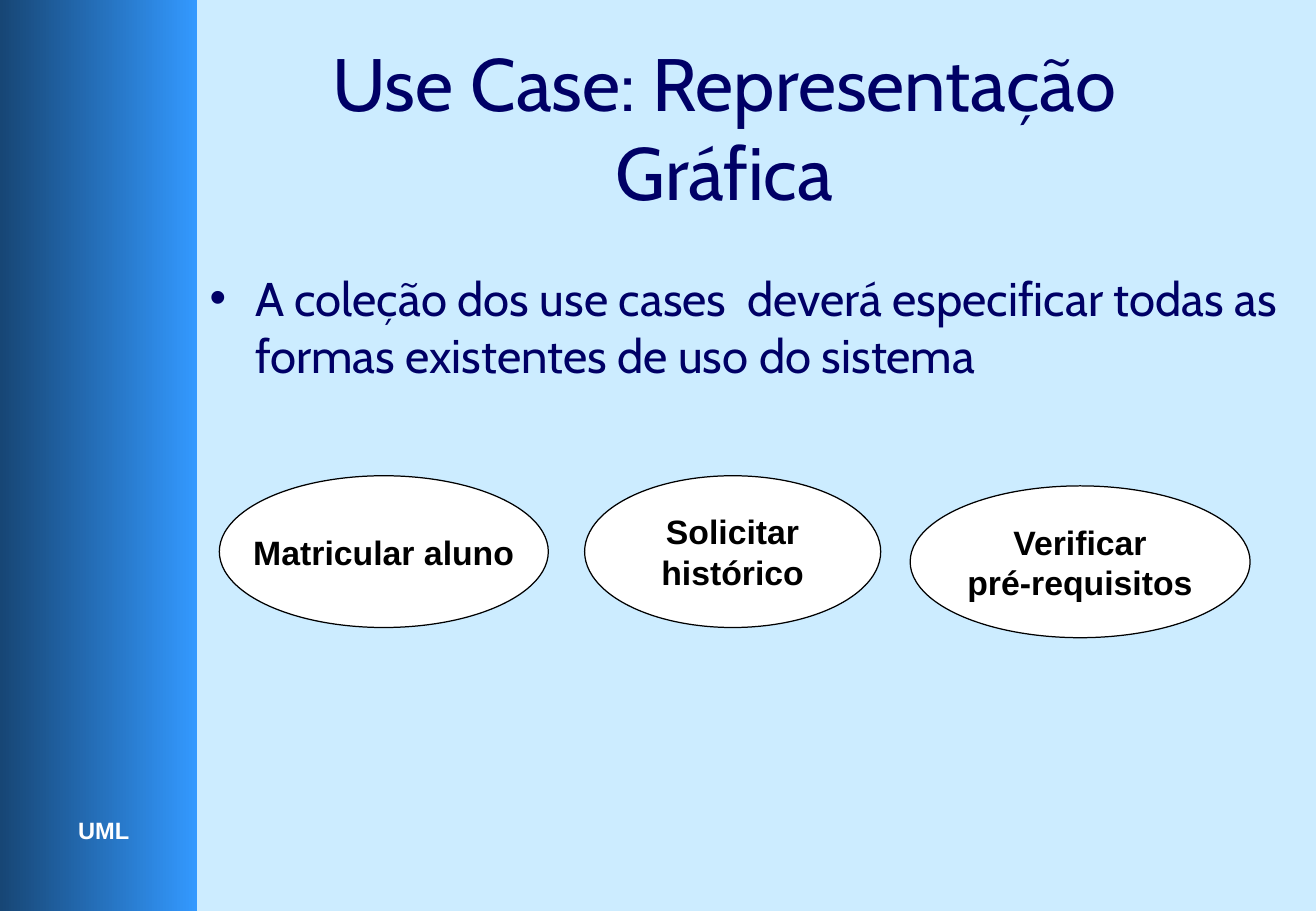
import enum

import pptx
import pptx.dml.color
import pptx.enum.shapes
import pptx.enum.text
import pptx.util

Pt = pptx.util.Pt
Rgb = pptx.dml.color.RGBColor.from_string
Align = pptx.enum.text.PP_ALIGN
Anchor = pptx.enum.text.MSO_ANCHOR
Fit = pptx.enum.text.MSO_AUTO_SIZE
Shape = pptx.enum.shapes.MSO_SHAPE


class Theme:
    back = Rgb("CCECFF")
    dark = Rgb("174675")
    light = Rgb("3399FF")
    navy = Rgb("000066")
    black = Rgb("000000")
    white = Rgb("FFFFFF")
    head = ("Cabin", 44, False, navy)
    list = ("Cabin", 28, False, navy)
    case = ("Arial", 20, True, black)
    tag = ("Arial", 14, True, white)


def place(shape, left, top, width, height):
    shape.left, shape.top = Pt(left), Pt(top)
    shape.width, shape.height = Pt(width), Pt(height)


def write(shape, text, style, align, anchor, wrap):
    """Fill the shape with text and give every run the style."""
    frame = shape.text_frame
    frame.text = text
    frame.word_wrap = wrap
    frame.auto_size = Fit.NONE
    frame.vertical_anchor = anchor
    for par in frame.paragraphs:
        par.alignment = align
        for run in par.runs:
            font = run.font
            font.name, size, font.bold, font.color.rgb = style
            font.size = Pt(size)


deck = pptx.Presentation()
deck.slide_width, deck.slide_height = Pt(780), Pt(540)
slide = deck.slides.add_slide(deck.slide_layouts[1])
slide.background.fill.solid()
slide.background.fill.fore_color.rgb = Theme.back
shapes = slide.shapes

# Side band with its label
band = shapes.add_shape(Shape.RECTANGLE, 0, 0, Pt(117), Pt(540))
band.shadow.inherit = False
band.line.fill.background()
band.fill.gradient()
band.fill.gradient_angle = 0
for stop, color in zip(band.fill.gradient_stops, (Theme.dark, Theme.light)):
    stop.color.rgb = color

label = shapes.add_textbox(Pt(39), Pt(480), Pt(45), Pt(24.5))
write(label, "UML", Theme.tag, Align.CENTER, Anchor.TOP, False)
label.text_frame.paragraphs[0].space_before = Pt(8.8)

# Title and list
title = shapes.title
place(title, 137, 30, 585, 90)
write(title, "Use Case: Representação Gráfica", Theme.head,
      Align.CENTER, Anchor.MIDDLE, True)

body = slide.placeholders[1]
place(body, 117, 156, 663, 324)
write(body, "A coleção dos use cases  deverá especificar todas as formas "
      "existentes de uso do sistema", Theme.list, Align.LEFT, Anchor.TOP, True)
body.text_frame.paragraphs[0].space_before = Pt(7)

# Use cases: text, left, top, width
cases = [
    ("Matricular aluno", 130, 282, 195),
    ("Solicitar\vhistórico", 346.5, 282, 175.5),
    ("Verificar\npré-requisitos", 539.5, 288, 201.5),
]
for text, left, top, width in cases:
    oval = shapes.add_shape(Shape.OVAL, Pt(left), Pt(top), Pt(width), Pt(90))
    oval.shadow.inherit = False
    oval.fill.solid()
    oval.fill.fore_color.rgb = Theme.white
    oval.line.color.rgb = Theme.black
    oval.line.width = Pt(0.75)
    write(oval, text, Theme.case, Align.CENTER, Anchor.MIDDLE, False)

deck.save("out.pptx")
